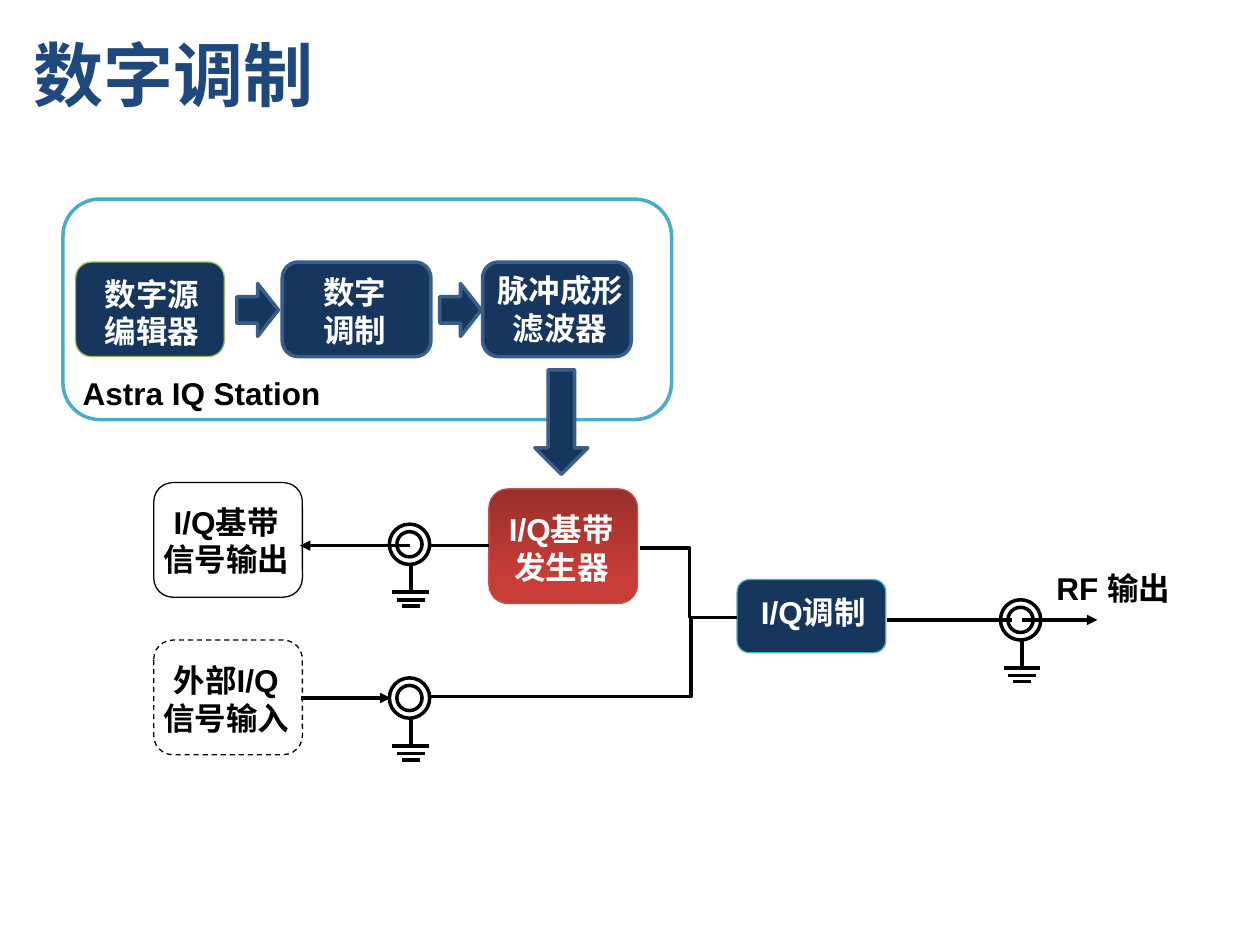
from lxml import etree
from pptx import Presentation
from pptx import util as u
from pptx.dml.color import RGBColor
from pptx.enum import dml, shapes, text
from pptx.oxml.ns import qn

NAVY = RGBColor(0x17, 0x36, 0x5D)
STEEL = RGBColor(0x39, 0x5E, 0x8A)
TITLE = RGBColor(0x1F, 0x49, 0x7D)
TEAL = RGBColor(0x4B, 0xAC, 0xC6)
GREEN = RGBColor(0x9B, 0xBB, 0x59)
RED = RGBColor(0xC0, 0x50, 0x4D)
RED_DARK = RGBColor(0x99, 0x2F, 0x2B)
RED_LIGHT = RGBColor(0xC9, 0x3D, 0x39)
BLACK = RGBColor(0, 0, 0)
WHITE = RGBColor(255, 255, 255)

# Grid, in inches
BOX_W, CAPTION_W, CAPTION_H = 1.18, 1.25, 0.71
STAGE_H, PORT_H, MOD_H = 0.75, 0.91, 0.58
COL_PORT, COL_GEN, COL_MOD = 1.22, 3.88, 5.85
ROW_STAGE, ROW_OUT, ROW_GEN, ROW_MOD, ROW_IN = 2.08, 3.83, 3.88, 4.6, 5.08
SOCKET_X, RF_X = 3.25, 8.1
OUT_Y, MOD_Y, RF_Y, IN_Y = 4.33, 4.9, 4.92, 5.54

# Box: left, top, height, fill, line, points, caption lines, caption offset, colour
BOXES = [
    (0.6, ROW_STAGE, STAGE_H, NAVY, GREEN, 0.75, ["数字源", "编辑器"], (-0.02, 0.05), WHITE),
    (2.24, ROW_STAGE, STAGE_H, NAVY, STEEL, 2, ["数字", "调制"], (-0.05, 0.04), WHITE),
    (3.83, ROW_STAGE, STAGE_H, NAVY, STEEL, 2, ["脉冲成形滤波器"], (-0.01, 0.02), WHITE),
    (COL_PORT, ROW_OUT, PORT_H, None, BLACK, 0.75, ["I/Q基带信号输出"], (-0.05, 0.11), BLACK),
    (COL_GEN, ROW_GEN, PORT_H, RED_LIGHT, RED, 0.75, ["I/Q基带发生器"], (-0.05, 0.12), WHITE),
    (COL_PORT, ROW_IN, PORT_H, None, BLACK, 0.75, ["外部I/Q信号输入"], (-0.05, 0.12), BLACK),
    (COL_MOD, ROW_MOD, MOD_H, NAVY, TEAL, 0.75, ["I/Q调制"], (-0.02, 0.06), WHITE),
]
# Block arrow: left, top, width, rotation
ARROWS = [(1.88, 2.25, 0.33, 0), (3.49, 2.25, 0.33, 0), (4.04, 3.14, 0.83, 90)]
SOCKETS = [(SOCKET_X, OUT_Y - 0.01), (SOCKET_X, IN_Y), (RF_X, RF_Y)]
GROUND_BARS = [(0.38, 0.145), (0.44, 0.11), (0.49, 0.07)]  # drop, half width
# Wire: start, end, arrowhead at the end
WIRES = [
    ((COL_GEN, OUT_Y), (3.41, OUT_Y), False),
    ((SOCKET_X, OUT_Y), (2.38, OUT_Y), True),
    ((2.39, IN_Y), (3.1, IN_Y), True),
    ((7.04, RF_Y), (8.03, RF_Y), False),
    ((8.11, RF_Y), (8.71, RF_Y), True),
]
# Bent wire: start, end, share of the width where it turns
BENDS = [((5.08, 4.35), (COL_MOD, MOD_Y), 0.51), ((3.41, 5.53), (COL_MOD, MOD_Y), 0.85)]

prs = Presentation()
prs.slide_width, prs.slide_height = u.Inches(10), u.Inches(7.5)
s = prs.slides.add_slide(prs.slide_layouts[6])


def add_shape(kind, left, top, width, height, fill, line, points):
    sp = s.shapes.add_shape(kind, *map(u.Inches, (left, top, width, height)))
    sp.shadow.inherit = False
    if fill is None:
        sp.fill.background()
    else:
        sp.fill.solid()
        sp.fill.fore_color.rgb = fill
    sp.line.color.rgb = line
    sp.line.width = u.Pt(points)
    return sp


def add_text(lines, left, top, width, height, color, size=18,
             align=text.PP_ALIGN.CENTER):
    tf = s.shapes.add_textbox(*map(u.Inches, (left, top, width, height))).text_frame
    tf.word_wrap = True
    tf.text = "\n".join(lines)
    for p in tf.paragraphs:
        p.alignment = align
        font = p.runs[0].font
        font.name, font.size, font.bold = "Arial", u.Pt(size), True
        font.color.rgb = color
    return tf


def add_wire(start, end, arrow=False, turn=None):
    kind = shapes.MSO_CONNECTOR.STRAIGHT if turn is None else shapes.MSO_CONNECTOR.ELBOW
    cx = s.shapes.add_connector(kind, *map(u.Inches, start + end))
    cx.line.color.rgb = BLACK
    cx.line.width = u.Pt(2)
    pr = cx._element.spPr
    if arrow:
        etree.SubElement(cx.line._get_or_add_ln(), qn("a:tailEnd"), type="triangle")
    if turn is not None:
        guides = pr.find(qn("a:prstGeom")).get_or_add_avLst()
        etree.SubElement(guides, qn("a:gd"), name="adj1", fmla=f"val {round(turn * 100000)}")
    etree.SubElement(pr, qn("a:effectLst"))


# Title
tf = add_text(["数字调制"], 0.17, 0.25, 8.08, 0.67, TITLE, 40, text.PP_ALIGN.LEFT)
tf.vertical_anchor = text.MSO_ANCHOR.MIDDLE

# Software frame, its label on one line
ROUND = shapes.MSO_SHAPE.ROUNDED_RECTANGLE
add_shape(ROUND, 0.5, 1.58, 4.83, 1.75, WHITE, TEAL, 2)
tf = add_text(["Astra IQ Station"], 0.58, 2.92, 2.04, 0.4, BLACK)
tf.margin_left = tf.margin_right = 0
tf.word_wrap = False
tf.auto_size = text.MSO_AUTO_SIZE.SHAPE_TO_FIT_TEXT

# Boxes with captions
for left, top, height, fill, line, points, lines, (dx, dy), color in BOXES:
    sp = add_shape(ROUND, left, top, BOX_W, height, fill, line, points)
    if fill == RED_LIGHT:
        sp.fill.gradient()
        sp.fill.gradient_angle = 270
        for stop, shade, place in zip(sp.fill.gradient_stops, (RED_DARK, RED_LIGHT), (0, 0.8)):
            stop.color.rgb = shade
            stop.position = place
    if top == ROW_IN:
        sp.line.dash_style = dml.MSO_LINE.DASH
    caption_h = 0.28 if top == ROW_MOD else CAPTION_H
    add_text(lines, left + dx, top + dy, CAPTION_W, caption_h, color)
add_text(["RF 输出"], 8.25, 4.47, 1.17, 0.4, BLACK)

# Block arrows
for left, top, width, turn in ARROWS:
    sp = add_shape(shapes.MSO_SHAPE.RIGHT_ARROW, left, top, width, 0.42, NAVY, STEEL, 2)
    sp.rotation = turn

# Grounded sockets
for x, y in SOCKETS:
    for d in (0.32, 0.2):
        add_shape(shapes.MSO_SHAPE.OVAL, x - d / 2, y - d / 2, d, d, WHITE, BLACK, 2)
    mid = x + 0.01
    add_wire((mid, y + 0.16), (mid, y + GROUND_BARS[0][0]))
    for drop, half in GROUND_BARS:
        add_wire((mid - half, y + drop), (mid + half, y + drop))

# Signal wires
for start, end, arrow in WIRES:
    add_wire(start, end, arrow)
for start, end, turn in BENDS:
    add_wire(start, end, turn=turn)

prs.save("out.pptx")
